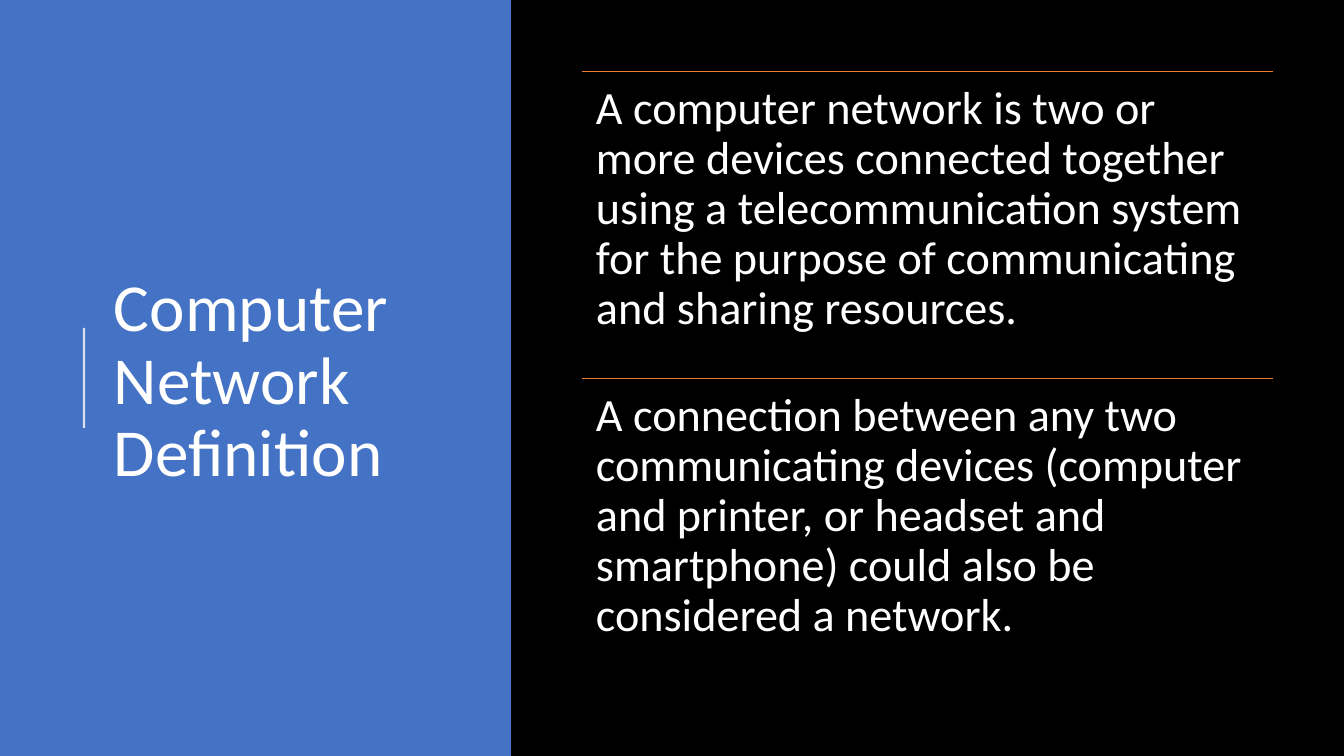
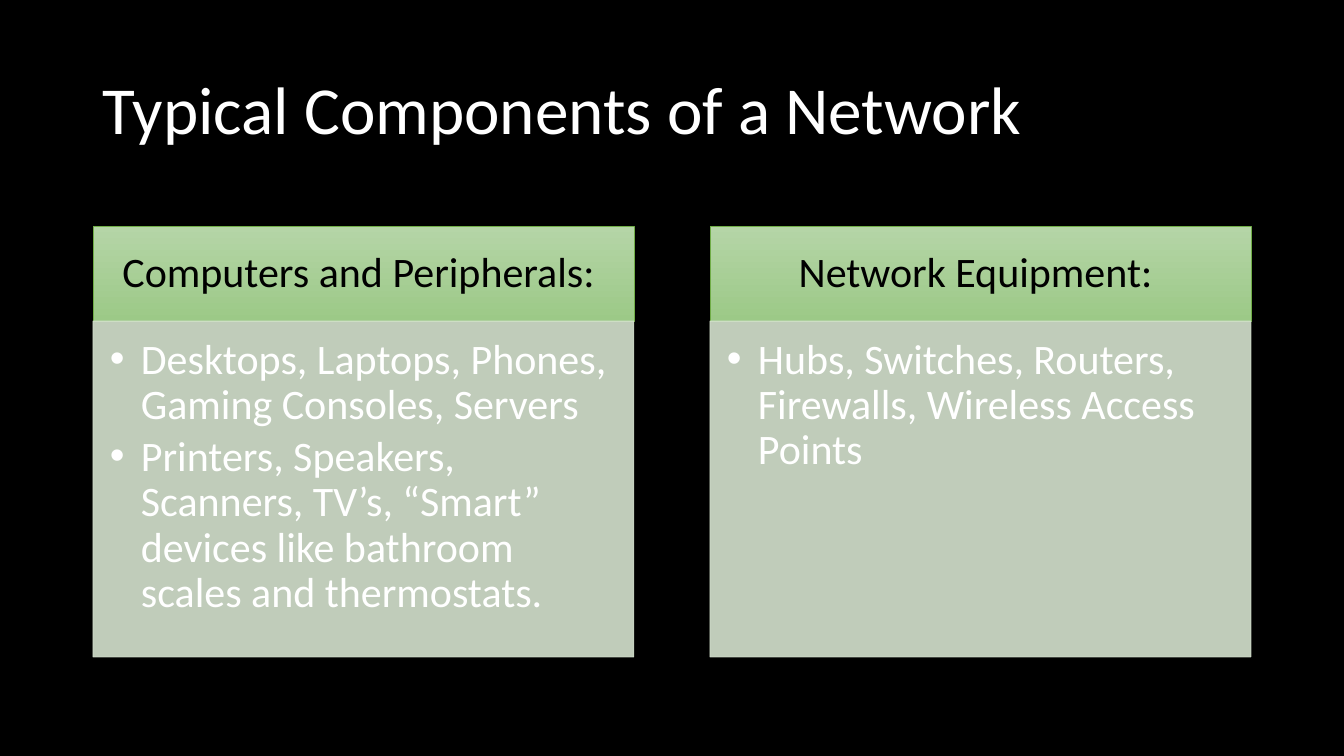
from dataclasses import dataclass
from typing import Optional

from lxml import etree
from pptx import Presentation
from pptx import util as u
from pptx.dml.color import RGBColor
from pptx.enum import shapes, text
from pptx.oxml.ns import qn

BLACK = RGBColor(0x00, 0x00, 0x00)
WHITE = RGBColor(0xFF, 0xFF, 0xFF)
BLUE = RGBColor(0x44, 0x72, 0xC4)
ORANGE = RGBColor(0xED, 0x7D, 0x31)
GREEN = RGBColor(0x70, 0xAD, 0x47)
GREEN_TOP = RGBColor(0xB5, 0xD5, 0xA7)
GREEN_BOTTOM = RGBColor(0x9C, 0xC9, 0x87)
PALE_GREEN = RGBColor(0xD5, 0xE3, 0xCF)

FONT = "Calibri"
SLIDE_W, SLIDE_H = 1344, 756
EMU_PER_PX = 12192000 / SLIDE_W


@dataclass(frozen=True)
class Box:
    x: int
    y: int
    w: int
    h: int


@dataclass(frozen=True)
class Card:
    heading: str
    items: tuple[str, ...]


DEFINITIONS = (
    "A computer network is two or more devices connected together using a "
    "telecommunication system for the purpose of communicating and sharing resources.",
    "A connection between any two communicating devices (computer and printer, "
    "or headset and smartphone) could also be considered a network.",
)

CARDS = (
    Card("Computers and Peripherals: ", (
        "Desktops, Laptops, Phones, Gaming Consoles, Servers",
        "Printers, Speakers, Scanners, TV’s, “Smart” devices like bathroom "
        "scales and thermostats.",
    )),
    Card("Network Equipment: ", (
        "Hubs, Switches, Routers, Firewalls, Wireless Access Points",
    )),
)


def px(n: int) -> u.Emu:
    return u.Emu(round(n * EMU_PER_PX))


def add_slide(prs):
    slide = prs.slides.add_slide(prs.slide_layouts[6])
    slide.background.fill.solid()
    slide.background.fill.fore_color.rgb = BLACK
    return slide


def set_alpha(s, percent: int) -> None:
    for color in s._element.spPr.iter(qn("a:srgbClr")):
        etree.SubElement(color, qn("a:alpha")).set("val", str(percent * 1000))


def add_rect(slide, box: Box, fill: Optional[RGBColor] = None,
             gradient: tuple[RGBColor, ...] = (),
             line: Optional[RGBColor] = None, alpha: int = 100):
    s = slide.shapes.add_shape(shapes.MSO_SHAPE.RECTANGLE, px(box.x), px(box.y),
                               px(box.w), px(box.h))
    s.shadow.inherit = False
    if gradient:
        s.fill.gradient()
        s.fill.gradient_angle = 270
        for stop, color in zip(s.fill.gradient_stops, gradient):
            stop.color.rgb = color
    else:
        s.fill.solid()
        s.fill.fore_color.rgb = fill
    if line is None:
        s.line.fill.background()
    else:
        s.line.color.rgb = line
        s.line.width = u.Pt(0.5)
    if alpha < 100:
        set_alpha(s, alpha)
    return s


def add_line(slide, x1: int, y1: int, x2: int, y2: int, color: RGBColor,
             width: float, alpha: int = 100) -> None:
    s = slide.shapes.add_connector(shapes.MSO_CONNECTOR.STRAIGHT,
                                   px(x1), px(y1), px(x2), px(y2))
    s.line.color.rgb = color
    s.line.width = u.Pt(width)
    if alpha < 100:
        set_alpha(s, alpha)
    etree.SubElement(s._element.spPr, qn("a:effectLst"))


def add_textbox(slide, box: Box):
    return slide.shapes.add_textbox(px(box.x), px(box.y), px(box.w), px(box.h))


def add_bullet(p, indent: int) -> None:
    pPr = p._p.get_or_add_pPr()
    pPr.set("marL", str(px(indent)))
    pPr.set("indent", str(-px(indent)))
    etree.SubElement(pPr, qn("a:buFont")).set("typeface", "Arial")
    etree.SubElement(pPr, qn("a:buChar")).set("char", "•")


def write(s, *lines: str, size: int, color: RGBColor = WHITE,
          insets: tuple[int, int, int, int] = (10, 5, 10, 5),
          anchor=text.MSO_ANCHOR.TOP, align=text.PP_ALIGN.LEFT,
          bullet_indent: int = 0, after: float = 0) -> None:
    tf = s.text_frame
    tf.word_wrap = True
    tf.auto_size = text.MSO_AUTO_SIZE.NONE
    tf.vertical_anchor = anchor
    tf.margin_left, tf.margin_top, tf.margin_right, tf.margin_bottom = map(px, insets)
    for i, line in enumerate(lines):
        p = tf.add_paragraph() if i else tf.paragraphs[0]
        if bullet_indent:
            add_bullet(p, bullet_indent)
        p.alignment = align
        p.line_spacing = 0.9
        p.space_after = u.Pt(after)
        r = p.add_run()
        r.text = line
        r.font.name = FONT
        r.font.size = u.Pt(size)
        r.font.color.rgb = color


def add_title(slide, title: str, box: Box) -> None:
    write(add_textbox(slide, box), title, size=48, anchor=text.MSO_ANCHOR.MIDDLE)


def add_definition(slide, definition: str, box: Box) -> None:
    add_line(slide, box.x, box.y, box.x + box.w, box.y, ORANGE, 0.5)
    write(add_textbox(slide, box), definition, size=33, insets=(14, 14, 14, 14))


def add_card(slide, card: Card, box: Box, head_h: int) -> None:
    head = add_rect(slide, Box(box.x, box.y, box.w, head_h),
                    gradient=(GREEN_TOP, GREEN_BOTTOM), line=GREEN)
    write(head, card.heading, size=30, color=BLACK, insets=(23, 13, 23, 13),
          anchor=text.MSO_ANCHOR.MIDDLE, align=text.PP_ALIGN.CENTER)
    body = add_rect(slide, Box(box.x, box.y + head_h, box.w, box.h - head_h),
                    fill=PALE_GREEN, line=PALE_GREEN, alpha=90)
    write(body, *card.items, size=30, insets=(17, 17, 23, 26),
          bullet_indent=31, after=4.5)


def build_definition(prs) -> None:
    slide = add_slide(prs)
    add_rect(slide, Box(0, 0, 511, SLIDE_H), fill=BLUE)
    add_line(slide, 84, 428, 84, 328, WHITE, 1.5, alpha=80)
    row_h = 307
    for i, definition in enumerate(DEFINITIONS):
        add_definition(slide, definition, Box(582, 71 + i * row_h, 691, row_h))
    add_title(slide, "Computer Network Definition", Box(104, 79, 372, 607))


def build_components(prs) -> None:
    slide = add_slide(prs)
    card_w, gap = 541, 76
    for i, card in enumerate(CARDS):
        add_card(slide, card, Box(93 + i * (card_w + gap), 226, card_w, 431), 95)
    add_title(slide, "Typical Components of a Network", Box(93, 40, 1159, 146))


def main() -> None:
    prs = Presentation()
    prs.slide_width, prs.slide_height = px(SLIDE_W), px(SLIDE_H)
    build_definition(prs)
    build_components(prs)
    prs.save("out.pptx")


if __name__ == "__main__":
    main()
